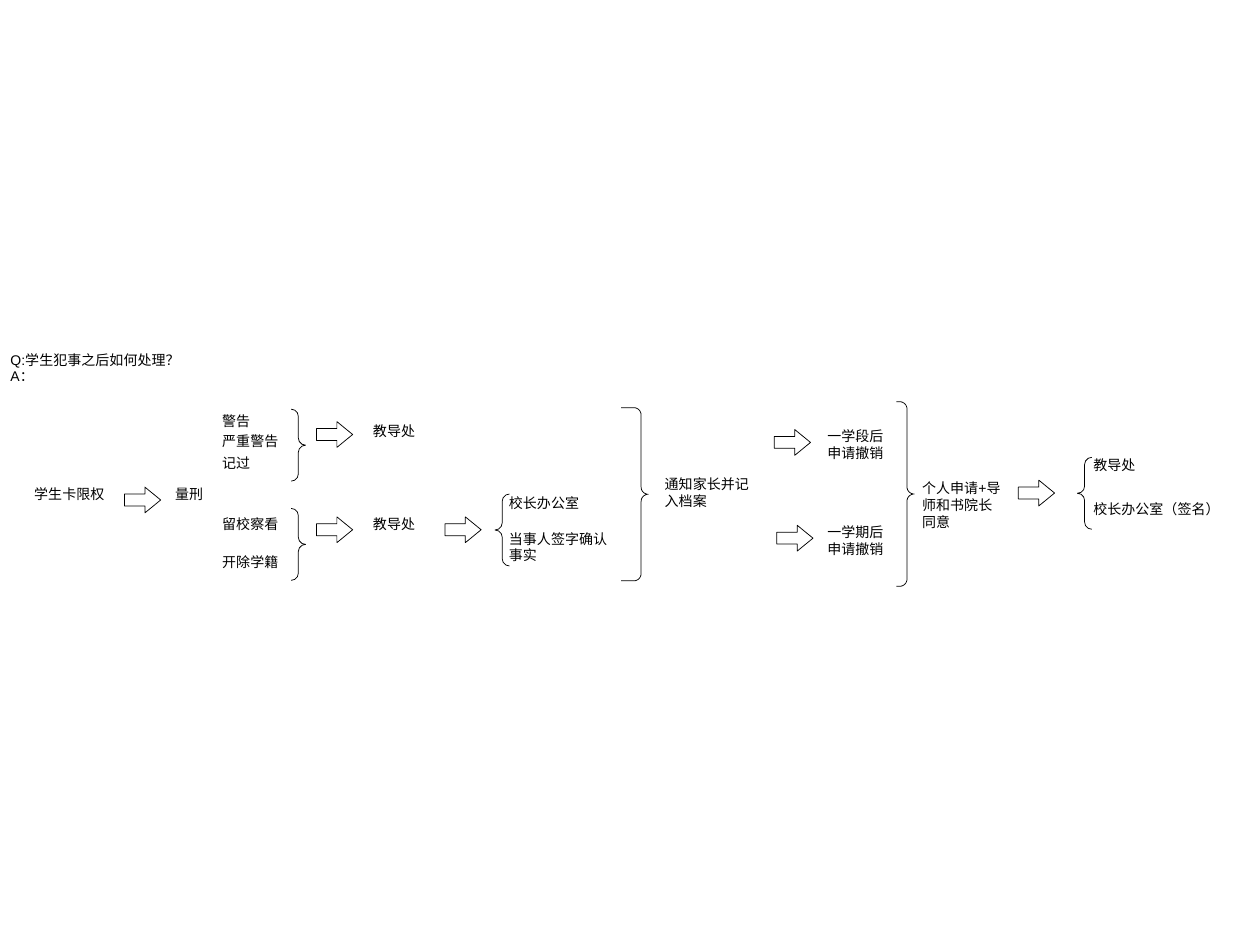
import math

import pptx
import pptx.dml.color
import pptx.enum.shapes
import pptx.enum.text
import pptx.util

Cm, Pt = pptx.util.Cm, pptx.util.Pt
KIND = pptx.enum.shapes.MSO_SHAPE
BLACK, WHITE = "000000", "FFFFFF"
THIN = Pt(0.43)
ROW = 0.34  # height of one line of text, in cm
BEND = 0.145  # radius of the bends of a brace, in cm

# left, top, width, lines high, text
LABELS = [
    (0.69, 9.79, 2.18, 1, "学生卡限权"),
    (3.53, 9.79, 0.81, 1, "量刑"),
    (4.48, 8.31, 1.0, 1, "警告"),
    (4.48, 8.71, 1.4, 1, "严重警告"),
    (4.48, 9.17, 0.74, 1, "记过"),
    (4.48, 10.39, 1.32, 1, "留校察看"),
    (4.48, 11.15, 1.32, 1, "开除学籍"),
    (7.52, 8.51, 1.22, 1, "教导处"),
    (7.52, 10.39, 1.02, 1, "教导处"),
    (10.26, 9.96, 1.57, 1, "校长办公室"),
    (10.26, 10.69, 2.01, 2, "当事人签字确认事实"),
    (13.4, 9.59, 1.73, 2, "通知家长并记入档案"),
    (16.68, 8.62, 1.4, 2, "一学段后申请撤销"),
    (16.68, 10.56, 1.4, 2, "一学期后申请撤销"),
    (18.59, 9.67, 1.63, 3, "个人申请+导师和书院长同意"),
    (22.04, 9.21, 2.18, 1, "教导处"),
    (22.04, 10.09, 3.15, 1, "校长办公室（签名）"),
]
ARROWS = [(2.51, 9.82), (6.38, 8.5), (6.38, 10.42), (8.97, 10.42),
          (15.61, 8.66), (15.66, 10.59), (20.53, 9.68)]
# kind, left, top
BRACES = [
    (KIND.RIGHT_BRACE, 5.87, 8.25),
    (KIND.RIGHT_BRACE, 5.87, 10.25),
    (KIND.LEFT_BRACE, 9.98, 9.96),
    (KIND.LEFT_BRACE, 21.72, 9.22),
]
# left, top, width, height
HOOKS = [(12.52, 8.22, 0.55, 3.49), (18.07, 8.1, 0.36, 3.72)]


def color(code):
    return pptx.dml.color.RGBColor.from_string(code)


def ink(shape):
    shape.shadow.inherit = False
    shape.line.color.rgb = color(BLACK)
    shape.line.width = THIN


def write(frame, text):
    frame.margin_left = frame.margin_right = 0
    frame.margin_top = frame.margin_bottom = 0
    frame.word_wrap = True
    frame.auto_size = pptx.enum.text.MSO_AUTO_SIZE.SHAPE_TO_FIT_TEXT
    frame.vertical_anchor = pptx.enum.text.MSO_ANCHOR.TOP
    frame.text = text
    for para in frame.paragraphs:
        para.alignment = pptx.enum.text.PP_ALIGN.LEFT
        para.font.name = "Arial"
        para.font.size = Pt(8)
        para.font.color.rgb = color(BLACK)


def add_title(slide, text):
    title = slide.shapes.title
    title.left, title.top = Cm(0.21), Cm(7.08)
    title.width, title.height = Cm(5.26), Cm(2 * ROW)
    write(title.text_frame, text)


def add_label(slide, left, top, width, rows, text):
    box = slide.shapes.add_textbox(Cm(left), Cm(top), Cm(width), Cm(rows * ROW))
    write(box.text_frame, text)


def add_arrow(slide, left, top):
    arrow = slide.shapes.add_shape(
        KIND.RIGHT_ARROW, Cm(left), Cm(top), Cm(0.73), Cm(0.52))
    arrow.adjustments[0] = 0.46
    arrow.adjustments[1] = 0.61
    arrow.fill.solid()
    arrow.fill.fore_color.rgb = color(WHITE)
    ink(arrow)


def add_brace(slide, kind, left, top):
    brace = slide.shapes.add_shape(
        kind, Cm(left), Cm(top), Cm(2 * BEND), Cm(1.45))
    brace.adjustments[0] = 0.5
    brace.fill.background()
    ink(brace)


def arc(x, y, start, end):
    """Points of a bend around (x, y), between two angles in degrees."""
    steps = 8
    turns = [math.radians(start + (end - start) * i / steps)
             for i in range(steps + 1)]
    return [(x + BEND * math.cos(t), y + BEND * math.sin(t)) for t in turns]


def add_hook(slide, left, top, width, height):
    """Right brace whose ends run on as straight tails."""
    tip, mid = left + width, top + height / 2
    upper = [(left, top)]
    upper += arc(tip - 2 * BEND, top + BEND, -90, 0)
    upper += arc(tip, mid - BEND, 180, 90)
    lower = [(x, 2 * mid - y) for x, y in reversed(upper[:-1])]
    points = [(Cm(x), Cm(y)) for x, y in upper + lower]
    pen = slide.shapes.build_freeform(*points[0])
    pen.add_line_segments(points[1:], close=False)
    hook = pen.convert_to_shape()
    hook.fill.background()
    ink(hook)


def main():
    deck = pptx.Presentation()
    deck.slide_width, deck.slide_height = Cm(25.4), Cm(19.05)
    slide = deck.slides.add_slide(deck.slide_layouts[5])
    add_title(slide, "Q:学生犯事之后如何处理？\nA：")
    for label in LABELS:
        add_label(slide, *label)
    for arrow in ARROWS:
        add_arrow(slide, *arrow)
    for brace in BRACES:
        add_brace(slide, *brace)
    for hook in HOOKS:
        add_hook(slide, *hook)
    deck.save("out.pptx")


if __name__ == "__main__":
    main()
